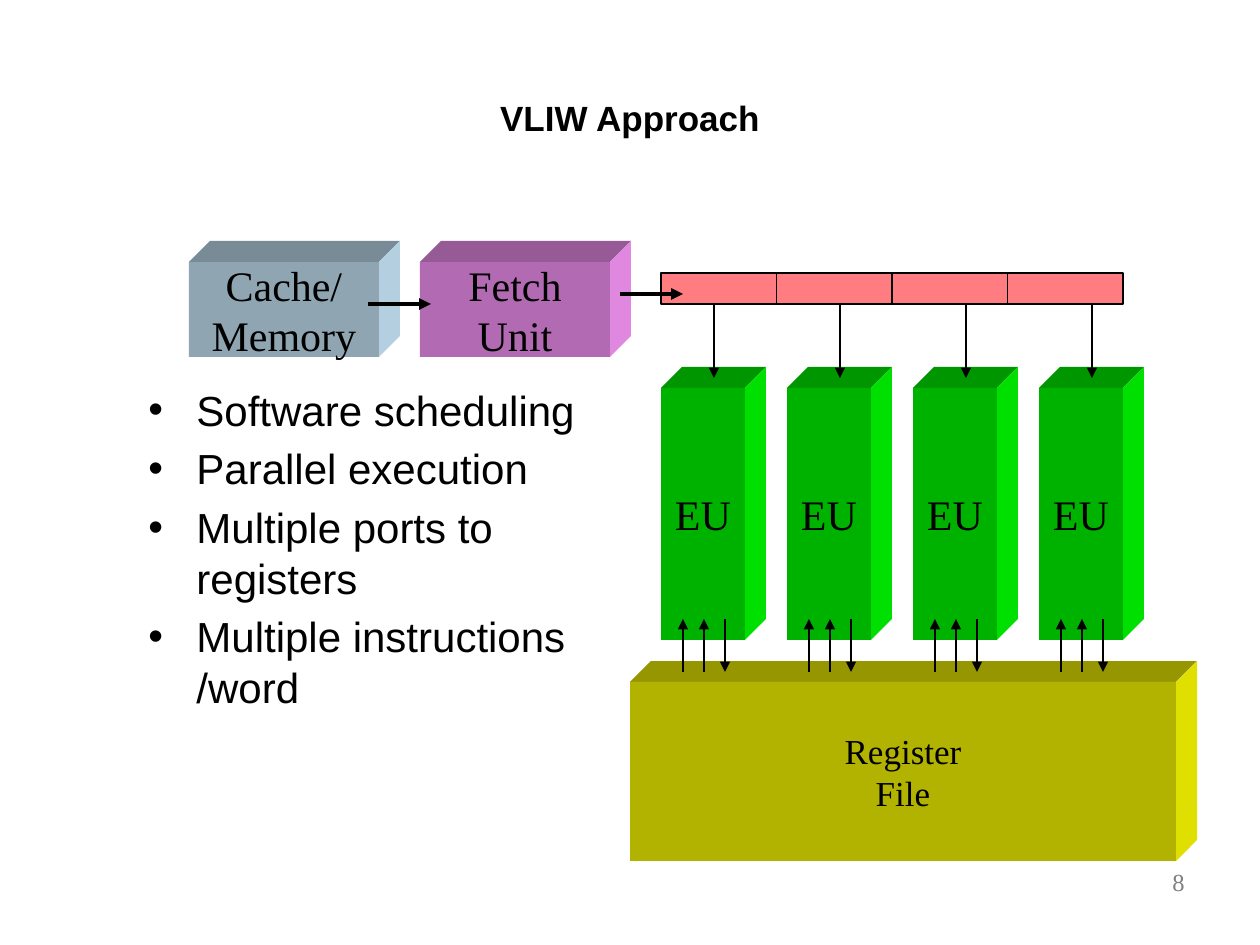
from pptx import Presentation, util as u
from pptx.dml.color import RGBColor
from pptx.enum import shapes, text
from pptx.oxml import parse_xml
from pptx.oxml.ns import nsdecls

PX = 914400 / 126
DEPTH = 21
SERIF = "Times New Roman"

TITLE = "VLIW Approach"
BULLETS = [
    "Software scheduling",
    "Parallel execution",
    "Multiple ports to registers",
    "Multiple instructions /word",
]
REGISTER_SLABS = [
    (840, 21, []),
    (819, 21, []),
    (724, 95, ["Register", "File"]),
    (703, 21, []),
    (682, 21, []),
]
STAGES = [
    (420, "FF99FF", ["Fetch", "Unit"]),
    (189, "CCECFF", ["Cache/", "Memory"]),
]
UNITS, UNIT_LEFT, UNIT_STEP = 4, 661, 126
WORD_LEFT, WORD_WIDTH = 661, 462
PORTS = [(22, 672, 619), (43, 672, 619), (64, 619, 672)]


def px(value):
    return u.Emu(round(value * PX))


def color(value):
    return RGBColor.from_string(value)


def shade(value, factor):
    return "".join(f"{round(int(value[i:i + 2], 16) * factor):02X}" for i in (0, 2, 4))


def write(paragraph, words, size, font, fill="000000", align=text.PP_ALIGN.CENTER, bold=False):
    paragraph.alignment = align
    run = paragraph.add_run()
    run.text = words
    run.font.size = u.Pt(size)
    run.font.name = font
    run.font.bold = bold
    run.font.color.rgb = color(fill)


def write_lines(frame, lines, size, font, **options):
    for index, words in enumerate(lines):
        paragraph = frame.add_paragraph() if index else frame.paragraphs[0]
        write(paragraph, words, size, font, **options)


def paint(shape, fill, line=None):
    shape.shadow.inherit = False
    shape.fill.solid()
    shape.fill.fore_color.rgb = color(fill)
    if line:
        shape.line.color.rgb = color(line)
        shape.line.width = u.Pt(0.75)
    else:
        shape.line.fill.background()


def add_rectangle(slide, left, top, width, height, fill, line=None):
    shape = slide.shapes.add_shape(
        shapes.MSO_SHAPE.RECTANGLE, px(left), px(top), px(width), px(height))
    paint(shape, fill, line)
    return shape


def add_block(slide, left, top, width, height, base, lines, size=24):
    right, bottom = left + width, top + height
    faces = [
        (0.59, [(left, top), (left + DEPTH, top - DEPTH), (right + DEPTH, top - DEPTH), (right, top)]),
        (0.88, [(right, top), (right + DEPTH, top - DEPTH), (right + DEPTH, bottom - DEPTH), (right, bottom)]),
    ]
    for factor, points in faces:
        builder = slide.shapes.build_freeform(*points[0], scale=PX)
        builder.add_line_segments(points[1:], close=True)
        paint(builder.convert_to_shape(), shade(base, factor))
    front = add_rectangle(slide, left, top, width, height, shade(base, 0.7))
    frame = front.text_frame
    frame.word_wrap = False
    frame.vertical_anchor = text.MSO_ANCHOR.MIDDLE
    write_lines(frame, lines, size, SERIF)


def add_arrow(slide, x1, y1, x2, y2, width=1.5):
    arrow = slide.shapes.add_connector(
        shapes.MSO_CONNECTOR.STRAIGHT, px(x1), px(y1), px(x2), px(y2))
    arrow.line.color.rgb = color("000000")
    arrow.line.width = u.Pt(width)
    arrow.line._get_or_add_ln().append(
        parse_xml(f'<a:tailEnd {nsdecls("a")} type="triangle"/>'))
    arrow._element.spPr.append(parse_xml(f'<a:effectLst {nsdecls("a")}/>'))


def add_text(slide, left, top, width, height):
    box = slide.shapes.add_textbox(px(left), px(top), px(width), px(height))
    box.text_frame.word_wrap = True
    return box.text_frame


def add_bullets(slide):
    frame = add_text(slide, 136, 378, 525, 567)
    write_lines(frame, BULLETS, 24, "Arial", align=text.PP_ALIGN.LEFT)
    for paragraph in frame.paragraphs:
        paragraph.space_before = u.Pt(4.8)
        properties = paragraph._p.get_or_add_pPr()
        properties.set("marL", str(px(48)))
        properties.set("indent", str(-px(48)))
        properties.append(parse_xml(f'<a:buFont {nsdecls("a")} typeface="Arial"/>'))
        properties.append(parse_xml(f'<a:buChar {nsdecls("a")} char="•"/>'))


def main():
    presentation = Presentation()
    presentation.slide_width, presentation.slide_height = px(1260), px(945)
    slide = presentation.slides.add_slide(presentation.slide_layouts[5])

    title = slide.shapes.title
    title.left, title.top, title.width, title.height = px(63), px(38), px(1134), px(158)
    title.text_frame.vertical_anchor = text.MSO_ANCHOR.MIDDLE
    write(title.text_frame.paragraphs[0], TITLE, 20, "Arial", bold=True)

    add_bullets(slide)
    number = add_text(slide, 903, 861, 294, 66)
    write(number.paragraphs[0], "8", 14, SERIF, "808080", text.PP_ALIGN.RIGHT)

    for top, height, lines in REGISTER_SLABS:
        add_block(slide, 630, top, 546, height, "FFFF00", lines, 20)
    for left, base, lines in STAGES:
        add_block(slide, left, 262, 190, 95, base, lines)
    add_arrow(slide, 368, 304, 431, 304, 2.25)

    cell = WORD_WIDTH / UNITS
    for index in range(UNITS):
        add_rectangle(slide, WORD_LEFT + index * cell, 273, cell, 31, "FF7C80", "000000")
    for index in range(UNITS):
        left = UNIT_LEFT + index * UNIT_STEP
        add_block(slide, left, 388, 84, 252, "00FF00", ["EU"])
        for offset, start, end in PORTS:
            add_arrow(slide, left + offset, start, left + offset, end)
        add_arrow(slide, left + 53, 304, left + 53, 378)
    add_arrow(slide, 620, 294, 683, 294, 2.25)

    presentation.save("out.pptx")


if __name__ == "__main__":
    main()
